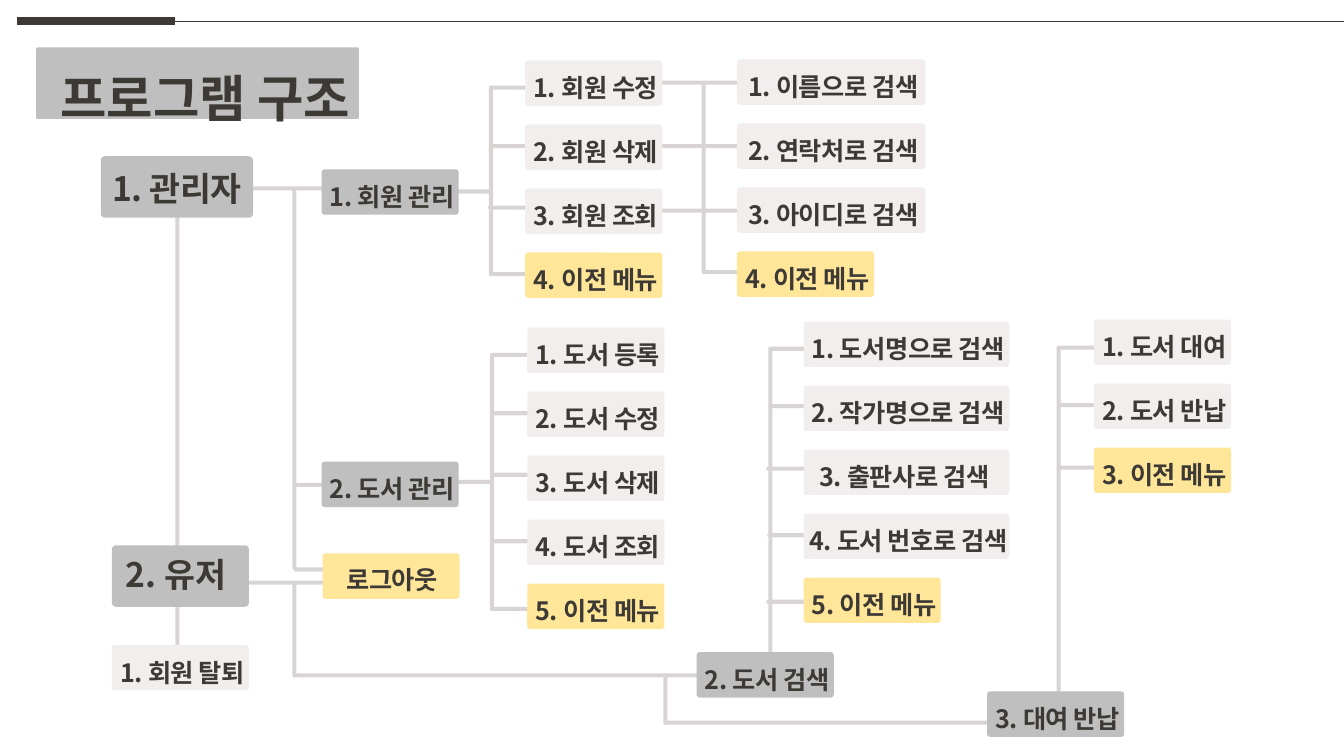
from dataclasses import dataclass

from lxml.etree import SubElement
from pptx import Presentation
from pptx.dml.color import RGBColor
from pptx.enum.shapes import MSO_CONNECTOR, MSO_SHAPE
from pptx.enum.text import MSO_ANCHOR, MSO_AUTO_SIZE, PP_ALIGN
from pptx.oxml.ns import qn
from pptx.util import Inches, Pt

FONT = "Noto Sans CJK KR"
INK, GREY, PALE, YELLOW, LINE = "3D3A35", "BFBFBF", "F2EEEE", "FFE699", "D8D4D4"
BOX_WIDTH, BOX_HEIGHT, ROW_PITCH = 1.36, 0.45, 0.635
BAR = 0.04
BACK = "이전 메뉴"


@dataclass
class Node:
    text: str
    left: float
    top: float
    fill: str = GREY
    width: float = BOX_WIDTH
    height: float = BOX_HEIGHT
    size: int = 18
    spacing: int = -30
    text_top: float = 0.04
    shift: float = 0.02


@dataclass
class Menu:
    """A numbered column of boxes that closes with the way back."""
    left: float
    top: float
    width: float
    labels: list[str]


@dataclass
class Bar:
    left: float
    top: float
    length: float
    upright: bool = False


@dataclass
class Branch:
    """An upright bar with stubs given as (left, top)."""
    left: float
    top: float
    length: float
    stubs: list[tuple[float, float]]
    stub_length: float = 0.39


MENUS = [
    Menu(5.21, 0.6, BOX_WIDTH, ["회원 수정", "회원 삭제", "회원 조회", BACK]),
    Menu(7.31, 0.59, 1.87, ["이름으로 검색", "연락처로 검색", "아이디로 검색", BACK]),
    Menu(5.23, 3.25, BOX_WIDTH, ["도서 등록", "도서 수정", "도서 삭제", "도서 조회", BACK]),
    Menu(7.97, 3.19, 2.04,
         ["도서명으로 검색", "작가명으로 검색", "출판사로 검색", "도서 번호로 검색", BACK]),
    Menu(10.85, 3.17, BOX_WIDTH, ["도서 대여", "도서 반납", BACK]),
]
NODES = [
    Node("1. 관리자", 1, 1.55, width=1.51, height=0.61, size=24, text_top=0.14, shift=0),
    Node("2. 유저", 1.11, 5.41, height=0.61, size=24, spacing=0, text_top=0.11, shift=-0.045),
    Node("1. 회원 관리", 3.19, 1.68),
    Node("2. 도서 관리", 3.19, 4.58),
    Node("로그아웃", 3.2, 5.49, YELLOW, text_top=0.03, shift=0.01),
    Node("1. 회원 탈퇴", 1.11, 6.4, PALE),
    Node("2. 도서 검색", 6.91, 6.47),
    Node("3. 대여 반납", 9.79, 6.86),
]
BRANCHES = [
    Branch(4.85, 0.85, 1.89, [(4.86, 0.85), (4.86, 1.43), (4.84, 2.04), (4.85, 2.7)]),
    Branch(4.86, 3.5, 2.54,
           [(4.88, 3.5), (4.88, 4.08), (4.86, 4.69), (4.87, 5.35), (4.86, 6.02)]),
    Branch(7.62, 3.45, 3.07,
           [(7.62, 3.44), (7.62, 4.01), (7.6, 4.63), (7.61, 5.29), (7.6, 5.95)]),
    Branch(10.48, 3.43, 3.74, [(10.5, 3.43), (10.5, 4), (10.48, 4.62)]),
    Branch(6.96, 0.82, 1.89, [(6.54, 0.8), (6.54, 1.43), (6.54, 2.07)], 0.79),
    Branch(2.9, 1.87, 3.78, [(2.48, 1.85), (2.91, 4.79), (2.91, 5.63), (2.42, 5.76)], 0.79),
]
BARS = [
    Bar(4.48, 1.88, 0.39), Bar(4.48, 4.76, 0.39), Bar(6.96, 2.68, 0.39),
    Bar(1.74, 1.99, 4.72, True),
    Bar(2.9, 5.78, 0.94, True), Bar(2.91, 6.68, 5.12),
    Bar(6.58, 6.68, 0.51, True), Bar(6.59, 7.15, 3.94),
]


def color(value: str) -> RGBColor:
    return RGBColor.from_string(value)


def add_rounded(page, left: float, top: float, width: float, height: float,
                fill: str, corner: float):
    shape = page.shapes.add_shape(MSO_SHAPE.ROUNDED_RECTANGLE, Inches(left), Inches(top),
                                  Inches(width), Inches(height))
    shape.adjustments[0] = corner
    shape.shadow.inherit = False
    shape.fill.solid()
    shape.fill.fore_color.rgb = color(fill)
    shape.line.fill.background()
    return shape


def write(shape, text: str, size: int, leading: float, align, margins: dict[str, float],
          wrap: bool = False, spacing: int = 0) -> None:
    frame = shape.text_frame
    formats = {"word_wrap": wrap, "auto_size": MSO_AUTO_SIZE.NONE,
               "vertical_anchor": MSO_ANCHOR.TOP}
    for side in ("left", "top", "right", "bottom"):
        formats[f"margin_{side}"] = Inches(margins.get(side, 0))
    for name, value in formats.items():
        setattr(frame, name, value)
    para = frame.paragraphs[0]
    for name, value in {"alignment": align, "line_spacing": Pt(leading),
                        "space_before": Pt(0)}.items():
        setattr(para, name, value)
    span = para.add_run()
    span.text = text
    for name, value in {"name": FONT, "size": Pt(size), "bold": True}.items():
        setattr(span.font, name, value)
    span.font.color.rgb = color(INK)
    properties = span.font._element
    properties.set("spc", str(spacing))
    SubElement(properties, qn("a:ea")).set("typeface", FONT)


def add_node(page, node: Node) -> None:
    box = add_rounded(page, node.left, node.top, node.width, node.height, node.fill, 0.067)
    side = "left" if node.shift > 0 else "right"
    margins = {"top": node.text_top, side: 2 * abs(node.shift)}
    write(box, node.text, node.size, 26.5, PP_ALIGN.CENTER, margins, spacing=node.spacing)


def add_menu(page, menu: Menu) -> None:
    for row, label in enumerate(menu.labels):
        back = label == BACK
        add_node(page, Node(f"{row + 1}. {label}", menu.left, menu.top + row * ROW_PITCH,
                            YELLOW if back else PALE, BOX_WIDTH if back else menu.width,
                            shift=-0.02 if label == "출판사로 검색" else 0.02))


def add_bar(page, bar: Bar) -> None:
    width, height = (BAR, bar.length) if bar.upright else (bar.length, BAR)
    add_rounded(page, bar.left, bar.top, width, height, LINE, 0.5)


def add_branch(page, branch: Branch) -> None:
    add_bar(page, Bar(branch.left, branch.top, branch.length, True))
    for left, top in branch.stubs:
        add_bar(page, Bar(left, top, branch.stub_length))


def add_header_line(page, start: float, end: float, weight: float) -> None:
    line = page.shapes.add_connector(MSO_CONNECTOR.STRAIGHT, Inches(start), Inches(0.21),
                                     Inches(end), Inches(0.21))
    line.line.color.rgb = color(INK)
    line.line.width = Pt(weight)
    SubElement(line.element.spPr, qn("a:effectLst"))


def add_title(page) -> None:
    panel = add_rounded(page, 0.36, 0.47, 3.2, 0.71, GREY, 0.02)
    title = page.shapes.title
    for name, value in {"left": 0.6, "top": 0.2, "width": 3.54, "height": 0.64}.items():
        setattr(title, name, Inches(value))
    write(title, "프로그램 구조", 36, 77, PP_ALIGN.LEFT, {}, wrap=True)
    panel.element.addnext(title.element)


def main() -> None:
    deck = Presentation()
    deck.slide_width, deck.slide_height = Inches(13.33), Inches(7.5)
    page = deck.slides.add_slide(deck.slide_layouts[5])
    add_title(page)
    add_header_line(page, 0.17, 1.74, 6)
    add_header_line(page, 1.74, 13.33, 0.5)
    for bar in BARS:
        add_bar(page, bar)
    for branch in BRANCHES:
        add_branch(page, branch)
    for node in NODES:
        add_node(page, node)
    for menu in MENUS:
        add_menu(page, menu)
    deck.save("out.pptx")


if __name__ == "__main__":
    main()
